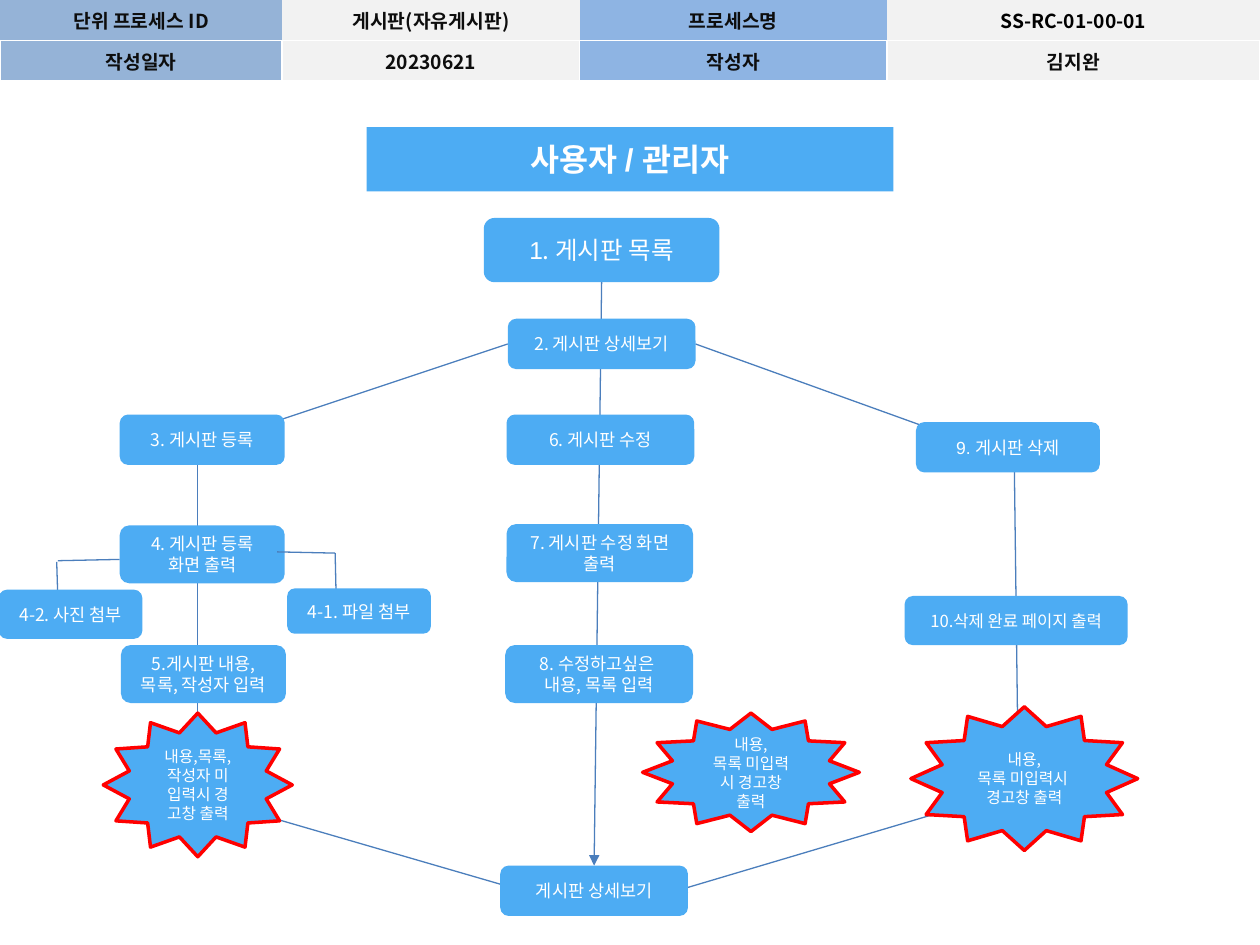
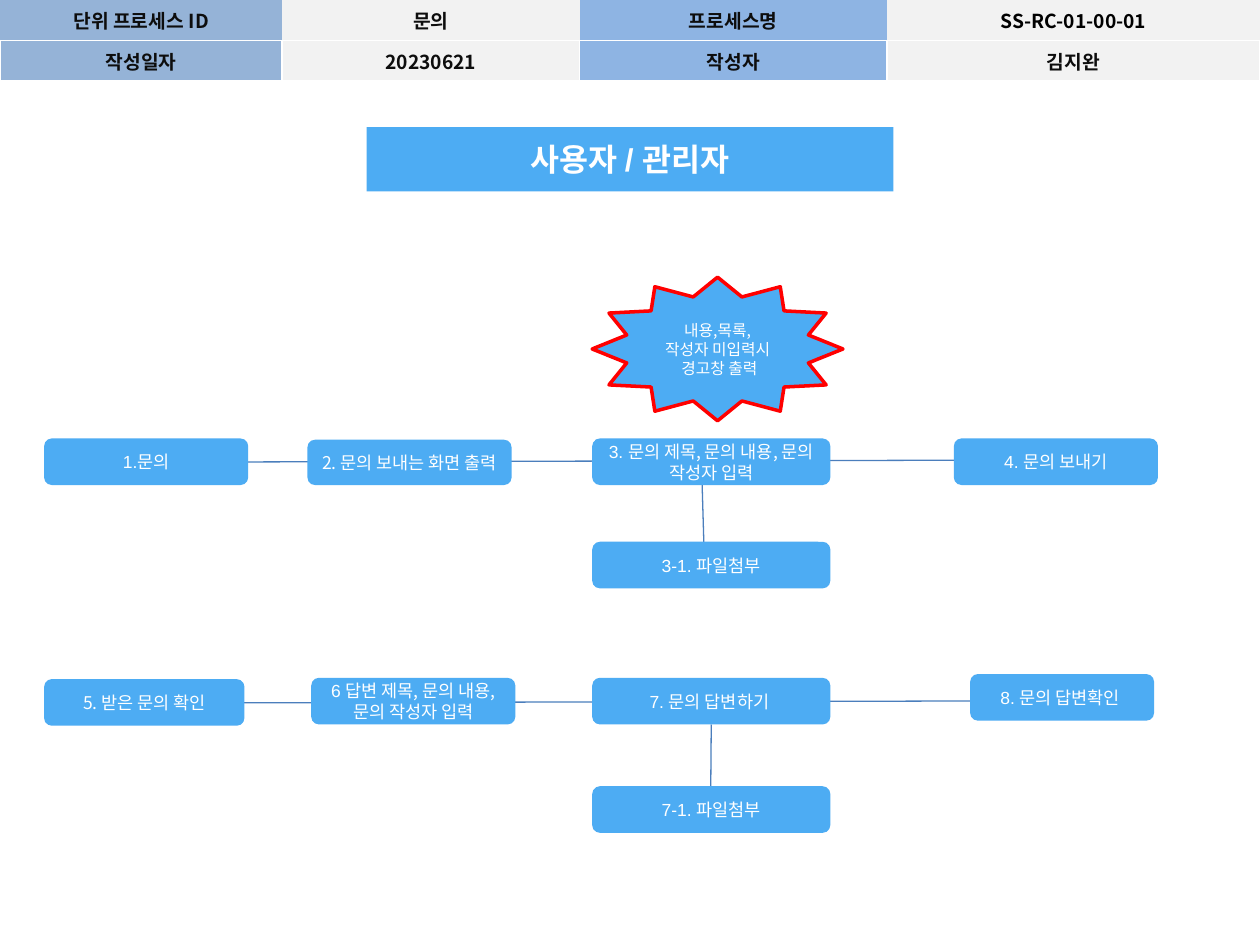
from lxml import etree
from pptx import Presentation
from pptx import util as u
from pptx.dml.color import RGBColor
from pptx.enum import shapes, text
from pptx.oxml import ns

PX = 9144  # EMU per px, 100 px to the inch
NBSP = chr(160)  # written as ~ in the content

SKY = RGBColor(0x4D, 0xAC, 0xF3)
RED = RGBColor(0xFF, 0, 0)
WHITE = RGBColor(0xFF, 0xFF, 0xFF)
BLACK = RGBColor(0, 0, 0)
INK = RGBColor(0x0D, 0x0D, 0x0D)
LINE = RGBColor(0x4B, 0x7E, 0xBC)
LABEL_LEFT = RGBColor(0x95, 0xB3, 0xD7)
LABEL_RIGHT = RGBColor(0x8E, 0xB4, 0xE3)
VALUE = RGBColor(0xF2, 0xF2, 0xF2)

KOREAN = "Noto Sans CJK KR"
LATIN = "Arial"
NO_TABLE_STYLE = "{2D5ABB26-0587-4C30-8999-92F81FD0307C}"
TOP, LEFT, BOTTOM, RIGHT = range(4)

ACTORS = "사용자 / 관리자"
ACTORS_AREA = (291, 101, 418, 51)
HEADER_COLUMNS = (224, 236, 244, 296)
HEADER_ROWS = (30, 31)
HEADER_FILLS = (LABEL_LEFT, VALUE, LABEL_RIGHT, VALUE)

# Steps: number -> (text, area[, size]); the part before | is set in Arial.
# Flows: (start, end, arrow); an end is a point or a (step, side) joint.
SLIDES = [
    {
        "process": "게시판(자유게시판)",
        "steps": {
            "1": ("1|. 게시판~목록", (384, 173, 187, 51), 14),
            "2": ("2. 게시판 상세보기", (403, 253, 149, 40)),
            "3": ("3. 게시판 등록", (95, 329, 131, 40)),
            "4": ("4. 게시판 등록 화면 출력", (95, 417, 131, 46)),
            "4-1": ("4-1. 파일 첨부", (228, 467, 114, 36)),
            "4-2": ("4-2. 사진 첨부", (-1, 468, 114, 39)),
            "5": ("5.게시판 내용, 목록, 작성자 입력", (96, 512, 131, 46)),
            "6": ("6.~게시판 수정", (402, 329, 149, 40)),
            "7": ("7. 게시판 수정 화면 출력", (402, 416, 148, 46)),
            "8": ("8. 수정하고싶은~\n내용, 목록 입력", (401, 512, 149, 46)),
            "9": ("9. |게시판 삭제", (727, 335, 146, 40)),
            "10": ("10.삭제 완료 페이지 출력", (718, 473, 177, 39), 9.5),
            "detail": ("게시판 상세보기", (397, 687, 149, 40)),
        },
        "warnings": [
            ("내용,목록,작성자~미입력시~경고창 출력", (82, 566, 150, 114)),
            ("내용,목록~미입력시~경고창 출력", (510, 566, 172, 94)),
            ("내용,목록~미입력시~경고창 출력", (723, 561, 180, 114)),
        ],
        "flows_behind": [
            (("2", LEFT), (205, 339), True),
            (("2", RIGHT), (749, 344), True),
            ((805, 368), (808, 605), True),
            ((157, 632), (415, 707), True),
            ((157, 369), (157, 627), True),
            (("1", BOTTOM), ("detail", TOP), True),
            ((759, 641), (537, 707), True),
            ((266, 439), (267, 481), True),
            ((45, 446), (46, 478), True),
            ((95, 444), (46, 445), False),
        ],
        "flows_in_front": [((220, 438), (266, 439), False)],
    },
    {
        "process": "문의",
        "steps": {
            "1": ("1.문의|", (35, 348, 162, 37)),
            "2": ("2. 문의 보내는 화면 출력", (244, 349, 162, 36)),
            "3": ("3.~|문의 제목, 문의 내용, 문의 작성자 입력",
                  (470, 348, 189, 37)),
            "3-1": ("3-1. 파일첨부|", (470, 430, 189, 37)),
            "4": ("4. 문의 보내기|", (757, 348, 162, 37)),
            "5": ("5. 받은 문의 확인", (35, 539, 159, 37)),
            "6": ("6~|답변~제목, 문의 내용, 문의 작성자 입력",
                  (247, 538, 162, 37)),
            "7": ("7. 문의 답변하기~|", (470, 538, 189, 37)),
            "7-1": ("7-1. 파일첨부|", (470, 624, 189, 37)),
            "8": ("8. 문의 답변확인~|", (770, 535, 146, 37)),
        },
        "warnings": [
            ("내용,목록,작성자~미입력시~경고창 출력", (470, 220, 199, 114)),
        ],
        "flows_behind": [
            (("7", BOTTOM), (564, 642), True),
            ((557, 375), (559, 443), True),
            ((49, 367), (875, 365), True),
            ((114, 558), (901, 556), True),
        ],
        "flows_in_front": [],
    },
]


def scaled(lengths):
    return [length * PX for length in lengths]


def write(frame, words, size, color, bold=False):
    """Fill a frame with centred lines; a part before | is set in Arial."""
    frame.word_wrap = True
    frame.vertical_anchor = text.MSO_ANCHOR.MIDDLE
    for index, line in enumerate(words.replace("~", NBSP).split("\n")):
        paragraph = frame.add_paragraph() if index else frame.paragraphs[0]
        paragraph.alignment = text.PP_ALIGN.CENTER
        lead, _, rest = line.rpartition("|")
        for part, face in ((lead, LATIN), (rest, KOREAN)):
            if not part:
                continue
            run = paragraph.add_run()
            run.text = part
            look = {"name": face, "size": u.Pt(size), "bold": bold}
            for attribute, value in look.items():
                setattr(run.font, attribute, value)
            run.font.color.rgb = color
            asian = etree.SubElement(run.font._element, ns.qn("a:ea"))
            asian.set("typeface", KOREAN)


def add_header(slide, process):
    rows = [
        ("단위 프로세스 ID", process, "프로세스명", "SS-RC-01-00-01"),
        ("작성일자", "20230621", "작성자", "김지완"),
    ]
    area = scaled((0, 0, sum(HEADER_COLUMNS), sum(HEADER_ROWS)))
    table = slide.shapes.add_table(2, 4, *area).table
    table._tbl.tblPr.find(ns.qn("a:tableStyleId")).text = NO_TABLE_STYLE
    table.first_row = table.horz_banding = False
    for column, width in zip(table.columns, scaled(HEADER_COLUMNS)):
        column.width = width
    for r, height in enumerate(scaled(HEADER_ROWS)):
        table.rows[r].height = height
        for c, fill in enumerate(HEADER_FILLS):
            cell = table.cell(r, c)
            add_borders(cell, "LRTB" if r else "B")
            cell.fill.solid()
            cell.fill.fore_color.rgb = fill
            cell.vertical_anchor = text.MSO_ANCHOR.MIDDLE
            color = BLACK if (r, c) == (0, 3) else INK
            write(cell.text_frame, rows[r][c], 11, color, bold=True)


def add_borders(cell, sides):
    properties = cell._tc.get_or_add_tcPr()
    for side in sides:
        border = etree.SubElement(properties, ns.qn(f"a:ln{side}"), w="12700")
        fill = etree.SubElement(border, ns.qn("a:solidFill"))
        etree.SubElement(fill, ns.qn("a:srgbClr"), val=str(WHITE))


def add_actors(slide):
    """Turn the title placeholder into the rounded banner."""
    title = slide.shapes.title
    edges = ("left", "top", "width", "height")
    for edge, length in zip(edges, scaled(ACTORS_AREA)):
        setattr(title, edge, length)
    outline = etree.Element(ns.qn("a:prstGeom"), prst="roundRect")
    etree.SubElement(outline, ns.qn("a:avLst"))
    title._element.spPr.insert(1, outline)
    title.fill.solid()
    title.fill.fore_color.rgb = SKY
    title.text_frame.auto_size = text.MSO_AUTO_SIZE.NONE
    write(title.text_frame, ACTORS + "|", 18, WHITE, bold=True)


def add_node(slide, preset, words, area, size):
    node = slide.shapes.add_shape(preset, *scaled(area))
    node.shadow.inherit = False
    node.fill.solid()
    node.fill.fore_color.rgb = SKY
    node.line.fill.background()
    write(node.text_frame, words, size, WHITE)
    return node


def add_warning(slide, words, area):
    star = add_node(slide, shapes.MSO_SHAPE.STAR_12_POINT, words, area, 9)
    star.line.color.rgb = RED
    star.line.width = u.Pt(2)


def add_flow(slide, nodes, start, end, arrow):
    joints = [point if point[0] in nodes else None for point in (start, end)]
    points = [(0, 0) if joint else point
              for joint, point in zip(joints, (start, end))]
    flow = slide.shapes.add_connector(
        shapes.MSO_CONNECTOR.STRAIGHT, *scaled(points[0] + points[1]))
    for joint, connect in zip(joints, (flow.begin_connect, flow.end_connect)):
        if joint:
            connect(nodes[joint[0]], joint[1])
    flow.line.color.rgb = LINE
    flow.line.width = u.Pt(0.75)
    properties = flow._element.spPr
    if arrow:
        stroke = properties.find(ns.qn("a:ln"))
        etree.SubElement(stroke, ns.qn("a:tailEnd"), type="triangle")
    etree.SubElement(properties, ns.qn("a:effectLst"))
    return flow


def build_slide(deck, content):
    slide = deck.slides.add_slide(deck.slide_layouts[5])
    add_actors(slide)
    add_header(slide, content["process"])
    nodes = {}
    for number, (words, area, *size) in content["steps"].items():
        nodes[number] = add_node(slide, shapes.MSO_SHAPE.ROUNDED_RECTANGLE,
                                 words, area, size[0] if size else 10)
    for warning in content["warnings"]:
        add_warning(slide, *warning)
    for ends in content["flows_behind"]:
        flow = add_flow(slide, nodes, *ends)
        slide.shapes._spTree.insert(2, flow._element)
    for ends in content["flows_in_front"]:
        add_flow(slide, nodes, *ends)


def main():
    deck = Presentation()
    deck.slide_width, deck.slide_height = scaled((1000, 750))
    for content in SLIDES:
        build_slide(deck, content)
    deck.save("out.pptx")


if __name__ == "__main__":
    main()
